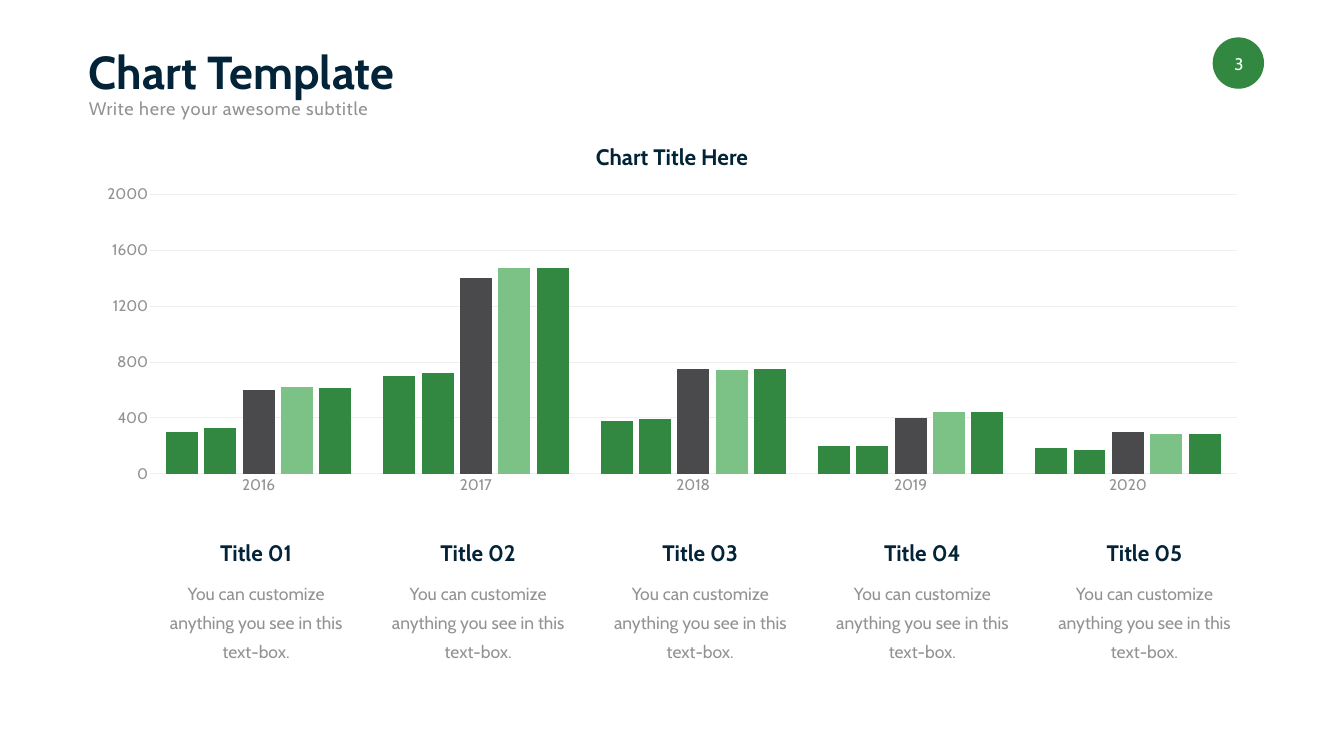
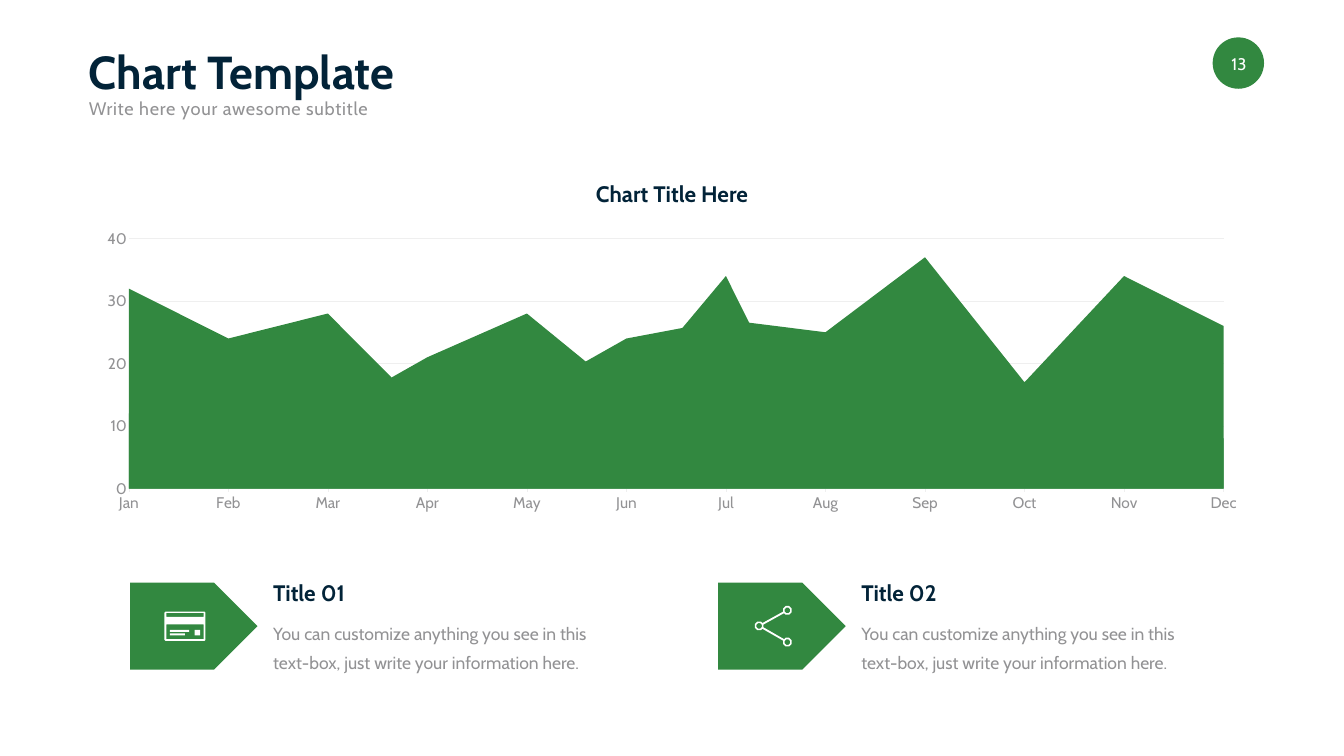
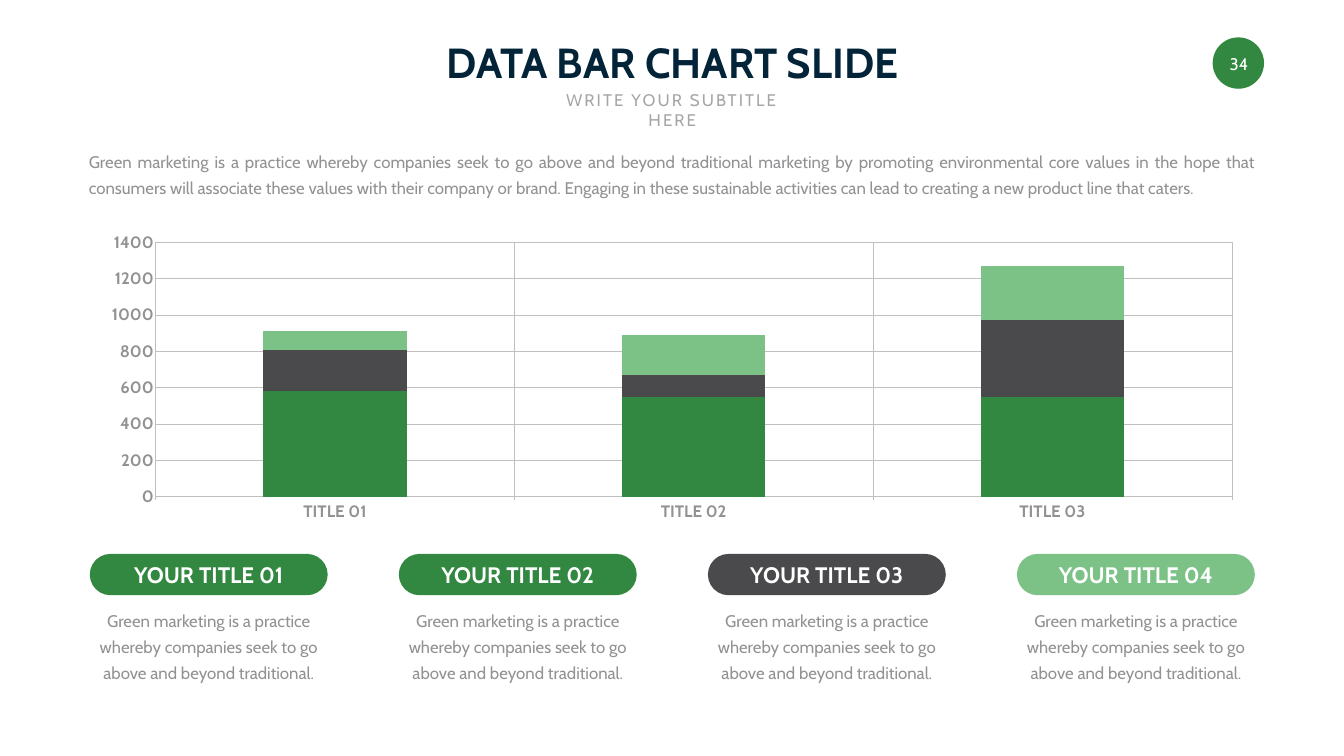
"""Build three chart slides in a green theme."""
from dataclasses import dataclass, replace
from math import cos, hypot, pi, sin

from lxml.etree import SubElement
from pptx import Presentation
from pptx.chart.data import CategoryChartData as Data
from pptx.dml.color import RGBColor as Rgb
from pptx.enum.chart import XL_CHART_TYPE as Kind, XL_TICK_MARK as Tick
from pptx.enum.shapes import MSO_SHAPE as Form
from pptx.enum.text import MSO_ANCHOR as Anchor, MSO_AUTO_SIZE as Auto, PP_ALIGN as Align
from pptx.oxml.ns import qn
from pptx.util import Pt

HUES = {
    "green": "328840", "light": "7CC287", "dark": "4A4A4C", "navy": "022338",
    "gray": "929294", "pale": "A6A6A6", "grid": "EFEFEF", "rule": "BFBFBF", "white": "FFFFFF",
}
FONT = "Cabin"
LEFT, WIDE = 119.8, 1679.8
WIDTHS = (123.8, 130.3, 131.8, 133.2, 133.2)


@dataclass(frozen=True)
class Box:
    x: float
    y: float
    w: float
    h: float

    def pts(self) -> tuple:
        return Pt(self.x), Pt(self.y), Pt(self.w), Pt(self.h)

    def narrow(self, w: float, y: float, h: float) -> "Box":
        return Box(self.x + (self.w - w) / 2, y, w, h)


@dataclass(frozen=True)
class Style:
    size: float
    hue: str
    bold: bool = False
    lead: float = 0
    track: float = 0
    align: Align = Align.LEFT
    anchor: Anchor = Anchor.TOP
    wrap: bool = False


@dataclass(frozen=True)
class Plot:
    kind: Kind
    box: Box
    cats: tuple
    rows: tuple
    hues: tuple
    size: float
    rule: str
    bold: bool = False
    tick: Tick = Tick.NONE
    step: float = 0
    top: float = 0
    gap: int = 0
    lap: int = 0
    inner: tuple = ()


BIG = Style(66, "navy", True, lead=100)
SUB = Style(26, "gray", track=1, anchor=Anchor.MIDDLE)
HEAD = Style(32, "navy", True, anchor=Anchor.BOTTOM)
MID = replace(HEAD, align=Align.CENTER)
BODY = Style(25, "gray", lead=41, wrap=True)
NOTE = Style(24, "gray", lead=37, align=Align.CENTER, wrap=True)
BADGE = Style(24, "white", align=Align.CENTER, anchor=Anchor.MIDDLE, wrap=True)
PILL = replace(MID, hue="white", anchor=Anchor.MIDDLE)


def tint(name: str) -> Rgb:
    return Rgb.from_string(HUES[name])


def write(frame, text: str, look: Style) -> None:
    frame.word_wrap = look.wrap
    frame.vertical_anchor = look.anchor
    para = frame.paragraphs[0]
    para.alignment = look.align
    if look.lead:
        para.line_spacing = Pt(look.lead)
    run = para.add_run()
    run.text = text
    font = run.font
    font.name, font.size, font.bold = FONT, Pt(look.size), look.bold
    font.color.rgb = tint(look.hue)
    if look.track:
        font._element.set("spc", str(int(look.track * 100)))


def label(slide, box: Box, text: str, look: Style) -> None:
    frame = slide.shapes.add_textbox(*box.pts()).text_frame
    write(frame, text, look)
    frame.auto_size = Auto.SHAPE_TO_FIT_TEXT


def paint(shape, hue: str = ""):
    shape.shadow.inherit = False
    if hue:
        shape.fill.solid()
        shape.fill.fore_color.rgb = tint(hue)
    else:
        shape.fill.background()
    shape.line.fill.background()
    return shape


def block(slide, form: Form, box: Box, hue: str = ""):
    return paint(slide.shapes.add_shape(form, *box.pts()), hue)


def curve(x: float, y: float, w: float, h: float, r: float = 0) -> list:
    mids = ((x + w - r, y + h - r), (x + r, y + h - r), (x + r, y + r), (x + w - r, y + r))
    turns = (0.25, 0.75) if r else (0,)
    return [(cx + r * cos((k + t) * pi / 2), cy + r * sin((k + t) * pi / 2))
            for k, (cx, cy) in enumerate(mids) for t in turns]


def disc(cx: float, cy: float, r: float) -> list:
    return curve(cx - r, cy - r, 2 * r, 2 * r, r)


def bar(a: tuple, b: tuple, trim: float, half: float) -> list:
    span = hypot(b[0] - a[0], b[1] - a[1])
    ux, uy = (b[0] - a[0]) / span, (b[1] - a[1]) / span
    ends = ((trim, half), (span - trim, half), (span - trim, -half), (trim, -half))
    return [(a[0] + ux * d - uy * s, a[1] + uy * d + ux * s) for d, s in ends]


def icon(slide, loops: list) -> None:
    pen = None
    for loop in loops:
        first, *rest = [(Pt(x), Pt(y)) for x, y in loop]
        if pen is None:
            pen = slide.shapes.build_freeform(*first)
        else:
            pen.move_to(*first)
        pen.add_line_segments(rest, close=True)
    paint(pen.convert_to_shape(), "white")


def card() -> list:
    return [
        curve(234.7, 873.4, 59, 42.5, 2.9), curve(237.6, 875.5, 53.3, 5.8),
        curve(237.6, 892.1, 53.3, 20.9), curve(242.6, 900, 27.4, 2.6),
        curve(242.6, 905, 21.6, 2.8), curve(277.9, 900, 7.9, 7.9),
    ]


def share() -> list:
    hub, *tips = nodes = ((1084.3, 894.2), (1124.6, 871.9), (1124.6, 917.3))
    rings = [disc(*node, r) for node in nodes for r in (6.7, 4.2)]
    return rings + [bar(hub, tip, 6.4, 1.3) for tip in tips]


def stroke(line, hue: str) -> None:
    line.color.rgb = tint(hue)
    line.width = Pt(0.75)


def fix(chart, inner: tuple) -> None:
    area = chart._chartSpace.chart.plotArea
    for old in area.findall(qn("c:layout")):
        area.remove(old)
    outer = SubElement(area, qn("c:layout"))
    area.insert(0, outer)
    spot = SubElement(outer, qn("c:manualLayout"))
    parts = [share_ / 100 for share_ in inner]
    pairs = zip(("layoutTarget", "xMode", "yMode", "x", "y", "w", "h"),
                ("inner", "edge", "edge", *parts))
    for tag, val in pairs:
        SubElement(spot, qn("c:" + tag)).set("val", str(val))


def draw(slide, plan: Plot) -> None:
    data = Data()
    data.categories = plan.cats
    for n, row in enumerate(plan.rows, 1):
        data.add_series(f"Series {n}", row)
    chart = slide.shapes.add_chart(plan.kind, *plan.box.pts(), data).chart
    chart.has_title = chart.has_legend = False
    font = chart.font
    font.name, font.size, font.bold = FONT, Pt(plan.size), plan.bold
    font.color.rgb = tint("gray")
    plot = chart.plots[0]
    plot.vary_by_categories = False
    if plan.gap:
        plot.gap_width, plot.overlap = plan.gap, plan.lap
    for part, hue in zip(plot.series, plan.hues):
        part.format.fill.solid()
        part.format.fill.fore_color.rgb = tint(hue)
    cat, val = chart.category_axis, chart.value_axis
    for axis, tick in ((cat, plan.tick), (val, Tick.NONE)):
        axis.major_tick_mark, axis.minor_tick_mark = tick, Tick.NONE
        stroke(axis.format.line, plan.rule)
    val.has_major_gridlines = True
    stroke(val.major_gridlines.format.line, plan.rule)
    if plan.step:
        val.major_unit = plan.step
        val.format.line.fill.background()
    if plan.top:
        val.maximum_scale = plan.top
    cat.has_major_gridlines = bool(plan.inner)
    if plan.inner:
        stroke(cat.major_gridlines.format.line, plan.rule)
        fix(chart, plan.inner)
    if plan.kind == Kind.AREA:
        for cross in val._element.findall(qn("c:crossBetween")):
            cross.set("val", "midCat")


def start(deck, page: str):
    slide = deck.slides.add_slide(deck.slide_layouts[6])
    block(slide, Form.OVAL, Box(1731.9, 53.4, 73.4, 73.4), "green")
    frame = block(slide, Form.OVAL, Box(1738.8, 60, 61.2, 61.2)).text_frame
    frame.margin_left = frame.margin_right = frame.margin_top = frame.margin_bottom = 0
    write(frame, page, BADGE)
    return slide


def opening(deck, page: str, top: float):
    slide = start(deck, page)
    label(slide, Box(LEFT, 38.2, 549.4, 103), "Chart Template", BIG)
    label(slide, Box(LEFT, 135.4, 443.5, 38.9), "Write here your awesome subtitle", SUB)
    label(slide, Box(825.5, top, 268.6, 46.1), "Chart Title Here", MID)
    return slide


def years(deck) -> None:
    slide = opening(deck, "3", 200.9)
    draw(slide, Plot(
        Kind.COLUMN_CLUSTERED, Box(LEFT, 254.9, WIDE, 460.1),
        ("2016", "2017", "2018", "2019", "2020"),
        ((300, 700, 380, 200, 180), (330, 720, 390, 200, 170), (600, 1400, 750, 400, 300),
         (620, 1470, 740, 440, 280), (610, 1470, 750, 440, 280)),
        ("green", "green", "dark", "light", "green"),
        22, "grid", step=400, top=2000, gap=100, lap=-20))
    for n, w in enumerate(WIDTHS):
        box = Box(224.6 + 317.2 * n, 818.6, 282.2, 131)
        label(slide, box.narrow(w, 766.4, 46.1), f"Title 0{n + 1}", MID)
        label(slide, box, "You can customize anything you see in this text-box.",
              replace(BODY, align=Align.CENTER))


def months(deck) -> None:
    slide = opening(deck, "13", 253.8)
    draw(slide, Plot(
        Kind.AREA, Box(LEFT, 319.2, WIDE, 420.5),
        ("Jan", "Feb", "Mar", "Apr", "May", "Jun", "Jul", "Aug", "Sep", "Oct", "Nov", "Dec"),
        ((32, 24, 28, 12, 15, 24, 27, 25, 37, 17, 34, 26),
         (12, 15, 12, 21, 28, 15, 34, 2, 28, 14, 16, 8)),
        ("green", "green"), 22, "grid", tick=Tick.OUTSIDE, step=10))
    for n, loops in enumerate((card(), share())):
        x = 840 * n
        block(slide, Form.PENTAGON, Box(185.8 + x, 832.3, 182, 124.3), "green")
        label(slide, Box(383 + x, 823.7, WIDTHS[n], 46.1), f"Title 0{n + 1}", HEAD)
        label(slide, Box(383 + x, 875.5, 510.5, 90),
              "You can customize anything you see in this text-box, "
              "just write your information here.", BODY)
        icon(slide, loops)


def stacks(deck) -> None:
    slide = start(deck, "34")
    label(slide, Box(601.3, 48.2, 717.8, 79.9), "DATA BAR CHART SLIDE",
          Style(60, "navy", True, align=Align.CENTER))
    label(slide, Box(764.6, 124.2, 391, 36), "WRITE YOUR SUBTITLE HERE",
          Style(24, "pale", track=3, align=Align.CENTER, wrap=True))
    hues = ("green", "green", "dark", "light")
    draw(slide, Plot(
        Kind.COLUMN_STACKED, Box(LEFT, 331.9, WIDE, 416.2),
        ("TITLE 01", "TITLE 02", "TITLE 03"),
        ((80, 120, 150), (500, 430, 400), (230, 120, 420), (100, 220, 300)),
        hues, 24, "rule", bold=True, tick=Tick.OUTSIDE, gap=150, lap=100,
        inner=(6.1, 2, 91.5, 88.6)))
    label(slide, Box(LEFT, 204.5, WIDE, 77.8),
          "Green marketing is a practice whereby companies seek to go above and beyond "
          "traditional marketing by promoting environmental core values in the hope that "
          "consumers will associate these values with their company or brand. Engaging in "
          "these sustainable activities can lead to creating a new product line that caters.",
          replace(NOTE, align=Align.JUSTIFY))
    for n, (hue, w) in enumerate(zip(hues, (232.6, 239, 240.5, 242.6))):
        box = Box(128.2 + 441.4 * n, 791.3, 339.8, 59)
        block(slide, Form.ROUNDED_RECTANGLE, box, hue).adjustments[0] = 0.5
        label(slide, box.narrow(w, 797.8, 46.1), f"YOUR TITLE 0{n + 1}", PILL)
        label(slide, replace(box, y=860.4, h=115.2),
              "Green marketing is a practice whereby companies seek to go above and beyond "
              "traditional.", NOTE)


def main() -> None:
    deck = Presentation()
    deck.slide_width, deck.slide_height = Pt(1919.52), Pt(1080)
    for build in (years, months, stacks):
        build(deck)
    deck.save("out.pptx")


if __name__ == "__main__":
    main()
